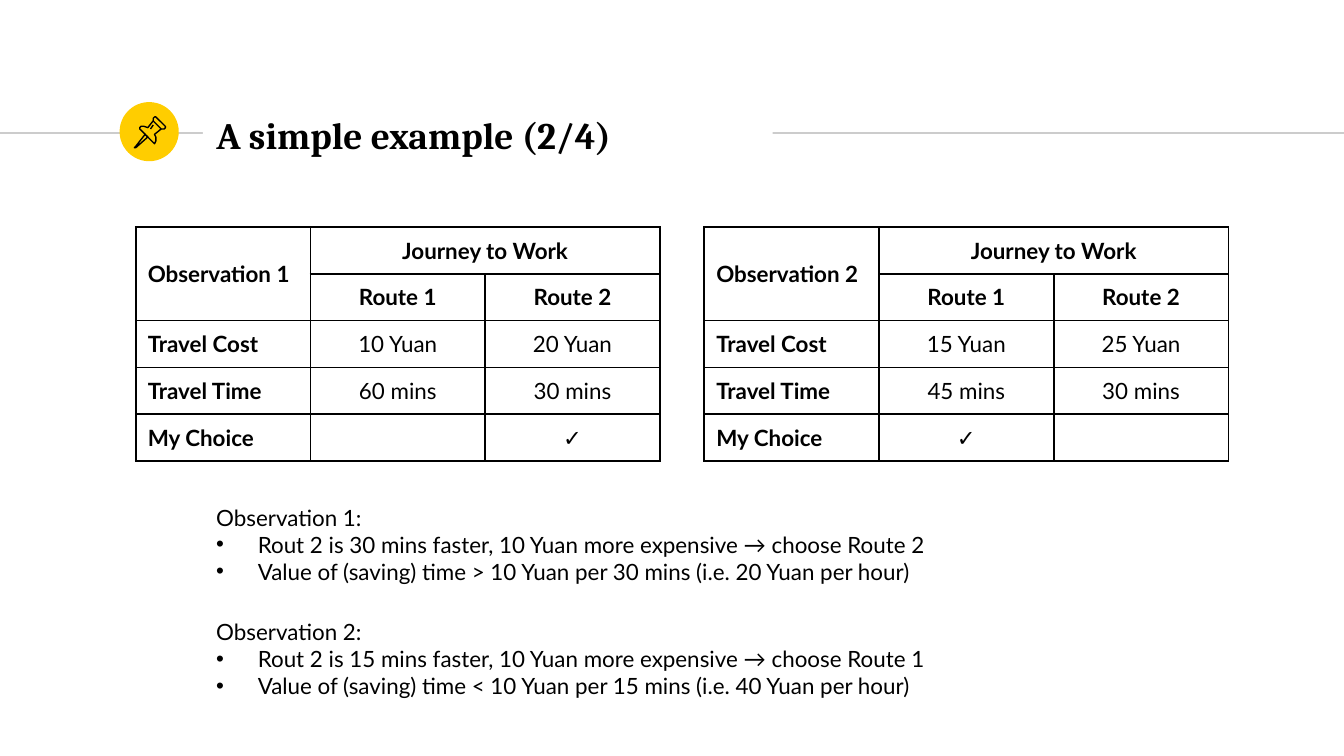
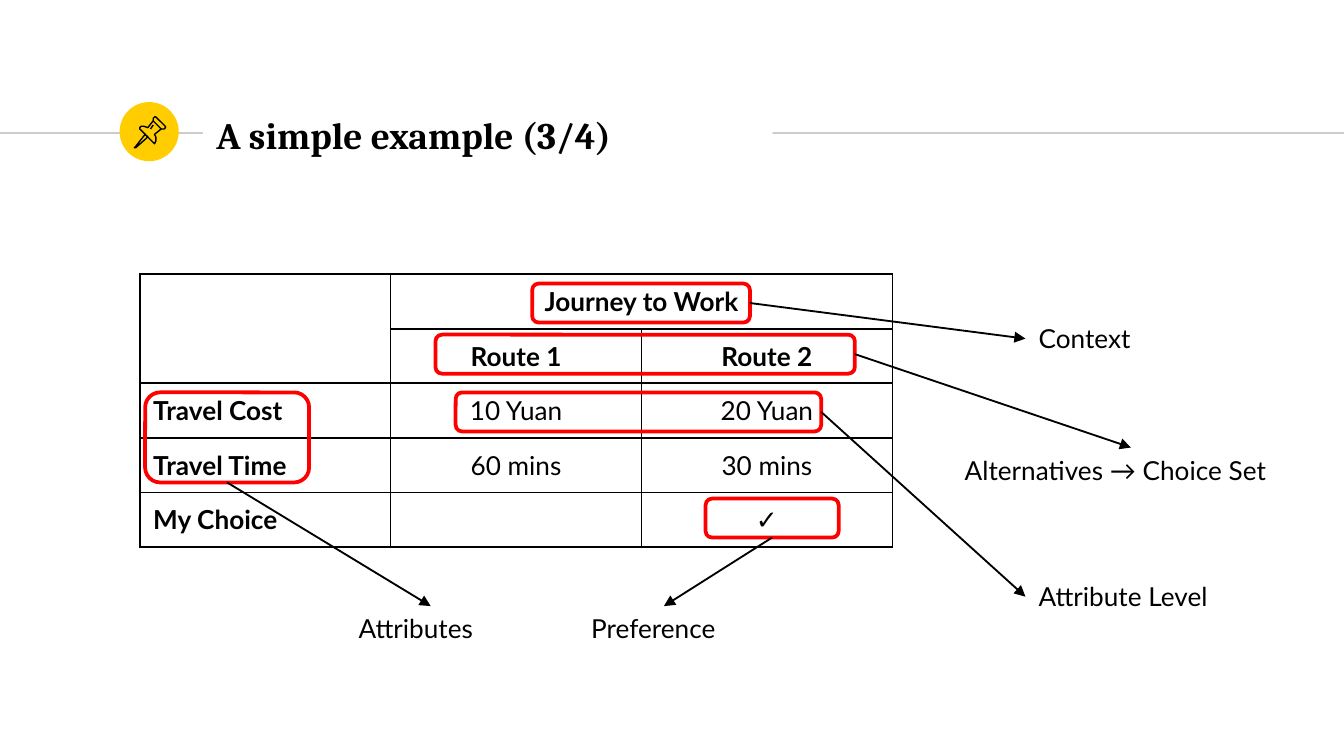
from pptx import Presentation
from pptx.dml.color import RGBColor
from pptx.enum.shapes import MSO_CONNECTOR as Link, MSO_SHAPE as Form
from pptx.enum.text import MSO_ANCHOR as Anchor, MSO_AUTO_SIZE as Auto, PP_ALIGN as Align
from pptx.oxml.ns import qn
from pptx.util import Inches, Pt
from lxml.etree import SubElement

HUES = {"ink": "000000", "paper": "FFFFFF", "rule": "CCCCCC",
        "badge": "FFCD00", "mark": "FF0000"}
HEAD, BODY = "Cambria", "Lato"

# Pin outlines in hundredths of an inch from the badge corner: points, closed
PIN = [
    ([(19, 24), (12, 33), (11, 34), (12, 34), (21, 26)], True),
    ([(25, 14), (31, 20), (33, 20), (34, 19), (34, 18), (27, 11), (26, 11),
      (25, 12)], True),
    ([(25, 14), (21, 19), (18, 18), (16, 18), (15, 19), (15, 20), (25, 30),
      (26, 31), (27, 29), (27, 26), (26, 24), (31, 20)], False),
    ([(23, 20), (25, 17)], False),
]

# Connection sites of a rectangle
TOP, LEFT, BASE, RIGHT = range(4)

# Marked box, label, label box, site on the mark, site on the label
CALLS = [
    ((3.96, 2.11, 1.62, 0.29), "Context", (7.63, 2.35, 1.36, 0.34), RIGHT, LEFT),
    ((3.24, 2.49, 3.12, 0.29), "Alternatives → Choice Set",
     (7.08, 3.33, 2.67, 0.34), RIGHT, TOP),
    ((3.39, 2.92, 2.72, 0.29), "Attribute Level", (7.63, 4.27, 1.6, 0.34), RIGHT, LEFT),
    ((1.08, 2.92, 1.22, 0.67), "Attributes", (2.57, 4.51, 1.27, 0.34), BASE, TOP),
    ((5.25, 3.71, 0.99, 0.29), "Preference", (4.3, 4.51, 1.28, 0.34), BASE, TOP),
]


def place(box):
    return [Inches(n) for n in box]


def hue(name):
    return RGBColor.from_string(HUES[name])


def style(para, size, face=BODY, bold=False):
    font = para.font
    font.size, font.name, font.bold = Pt(size), face, bold
    font.color.rgb = hue("ink")


def paint(shape, fill=None, line=None, width=0.75):
    shape.shadow.inherit = False
    if fill:
        shape.fill.solid()
        shape.fill.fore_color.rgb = hue(fill)
    else:
        shape.fill.background()
    if line:
        shape.line.color.rgb = hue(line)
        shape.line.width = Pt(width)
    else:
        shape.line.fill.background()


def wire(slide, start, end, tint, width):
    line = slide.shapes.add_connector(Link.STRAIGHT, *place(start + end))
    line.line.color.rgb = hue(tint)
    line.line.width = Pt(width)
    SubElement(line.element.spPr, qn("a:effectLst"))
    return line


def badge(slide, box):
    x, y, w, h = place(box)
    disc = slide.shapes.add_shape(Form.OVAL, x, y, w, h)
    paint(disc, "badge")
    for dots, shut in PIN:
        pen = slide.shapes.build_freeform(*dots[0], scale=Inches(0.01))
        pen.add_line_segments(dots[1:], close=shut)
        paint(pen.convert_to_shape(x, y), line="ink")


def header(slide, text):
    # Rule and badge
    wire(slide, (0, 0.99), (10, 0.99), "rule", 0.75)
    badge(slide, (0.89, 0.76, 0.44, 0.44))
    # Title, brought to the front so that it covers the rule
    title = slide.shapes.title
    title.element.getparent().append(title.element)
    title.left, title.top, title.width, title.height = place((1.51, 0.76, 4.24, 0.48))
    title.fill.solid()
    title.fill.fore_color.rgb = hue("paper")
    frame = title.text_frame
    frame.text = text
    frame.auto_size, frame.vertical_anchor = Auto.NONE, Anchor.MIDDLE
    frame.margin_left = frame.margin_right = Inches(0.1)
    frame.margin_top = frame.margin_bottom = Inches(0.1)
    para = frame.paragraphs[0]
    para.alignment = Align.LEFT
    style(para, 20, HEAD, True)


def border(cell):
    props = cell._tc.get_or_add_tcPr()
    for spot, side in enumerate(("lnL", "lnR", "lnT", "lnB")):
        edge = props.makeelement(qn("a:" + side), {"w": str(Pt(1))})
        fill = SubElement(edge, qn("a:solidFill"))
        SubElement(fill, qn("a:srgbClr"), val=HUES["ink"])
        props.insert(spot, edge)


def grid(slide, box, name, costs, times, picks, size, pad):
    rows = [(name, "Journey to Work", ""), ("", "Route 1", "Route 2"),
            ("Travel Cost", *costs), ("Travel Time", *times), ("My Choice", *picks)]
    table = slide.shapes.add_table(len(rows), 3, *place(box)).table
    table.first_row = table.horz_banding = False
    for col in table.columns:
        col.width = Inches(box[2] / 3)
    for row in table.rows:
        row.height = Inches(box[3] / len(rows))
    for r, row in enumerate(rows):
        for c, text in enumerate(row):
            cell = table.cell(r, c)
            cell.fill.background()
            border(cell)
            cell.vertical_anchor = Anchor.MIDDLE
            cell.margin_left = cell.margin_right = Inches(pad)
            cell.margin_top = cell.margin_bottom = Inches(pad - 0.05)
            para = cell.text_frame.paragraphs[0]
            para.alignment = Align.CENTER if c else Align.LEFT
            style(para, size, bold=r < 2 or c == 0)
            if text:
                para.add_run().text = text
            else:
                # Keep empty cells from stretching the row
                SubElement(para._p, qn("a:endParaRPr"), sz=str(size * 100))
    table.cell(0, 0).merge(table.cell(1, 0))
    table.cell(0, 1).merge(table.cell(0, 2))


def bullet(para):
    props = para._p.get_or_add_pPr()
    props.set("marL", str(Inches(0.31)))
    props.set("indent", str(-Inches(0.31)))
    props.insert(0, props.makeelement(qn("a:buFont"), {"typeface": "Arial"}))
    props.insert(1, props.makeelement(qn("a:buChar"), {"char": "•"}))


def note(slide, box, lines, size):
    text = slide.shapes.add_textbox(*place(box))
    frame = text.text_frame
    frame.word_wrap = True
    frame.auto_size = Auto.SHAPE_TO_FIT_TEXT
    for n, line in enumerate(lines):
        para = frame.add_paragraph() if n else frame.paragraphs[0]
        para.text = line
        style(para, size)
        if n:
            bullet(para)
    return text


def callout(slide, box, label, spot, out, into):
    mark = slide.shapes.add_shape(Form.ROUNDED_RECTANGLE, *place(box))
    paint(mark, line="mark", width=2)
    text = note(slide, spot, [label], 14)
    arrow = wire(slide, box[:2], spot[:2], "ink", 1)
    arrow.begin_connect(mark, out)
    arrow.end_connect(text, into)
    SubElement(arrow.line._get_or_add_ln(), qn("a:tailEnd"), type="triangle")


def compare(slide):
    header(slide, "A simple example (2/4)")
    # Observations side by side
    views = [
        ("Observation 1", ("10 Yuan", "20 Yuan"), ("60 mins", "30 mins"), ("", "✓")),
        ("Observation 2", ("15 Yuan", "25 Yuan"), ("45 mins", "30 mins"), ("✓", "")),
    ]
    for n, view in enumerate(views):
        grid(slide, (1.01 + 4.23 * n, 1.69, 3.9, 1.74), *view, 12, 0.09)
    # Findings
    finds = [("30", "2", ">", "20"), ("15", "1", "<", "40")]
    for n, (mins, route, sign, rate) in enumerate(finds):
        lines = [
            f"Observation {n + 1}:",
            f"Rout 2 is {mins} mins faster, 10 Yuan more expensive → choose Route {route}",
            f"Value of (saving) time {sign} 10 Yuan per {mins} mins (i.e. {rate} Yuan per hour)",
        ]
        note(slide, (1.51, 3.7 + 0.85 * n, 5.69, 0.71), lines, 12)


def explain(slide):
    header(slide, "A simple example (3/4)")
    grid(slide, (1.04, 2.04, 5.6, 2.03), "", ("10 Yuan", "20 Yuan"),
         ("60 mins", "30 mins"), ("", "✓"), 14, 0.1)
    # Terms pointed out on the table
    for call in CALLS:
        callout(slide, *call)


def main():
    deck = Presentation()
    # Widescreen, 16 to 9
    deck.slide_width = Inches(10)
    deck.slide_height = Inches(10 * 9 / 16)
    for build in (compare, explain):
        build(deck.slides.add_slide(deck.slide_layouts[5]))
    deck.save("out.pptx")


if __name__ == "__main__":
    main()
